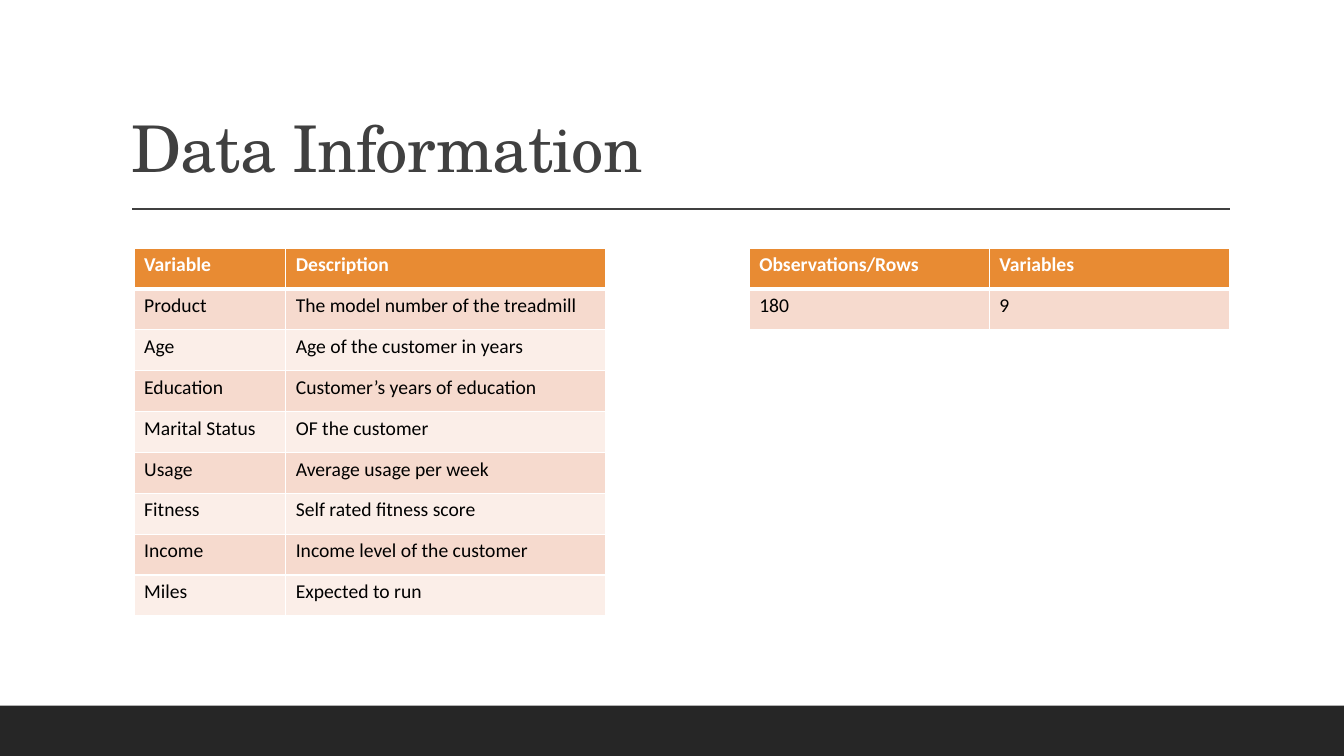
from dataclasses import dataclass

from lxml import etree
from pptx import Presentation
from pptx.dml.color import RGBColor
from pptx.enum.shapes import MSO_CONNECTOR, MSO_SHAPE
from pptx.enum.text import MSO_ANCHOR, MSO_AUTO_SIZE, PP_ALIGN
from pptx.oxml.ns import qn
from pptx.util import Cm, Pt

RECTANGLE = MSO_SHAPE.RECTANGLE
STRAIGHT = MSO_CONNECTOR.STRAIGHT
BOTTOM = MSO_ANCHOR.BOTTOM
NO_AUTOFIT = MSO_AUTO_SIZE.NONE
LEFT = PP_ALIGN.LEFT


@dataclass(frozen=True)
class Theme:
    title_font: str = "TeX Gyre Schola"
    body_font: str = "Calibri"
    title_size: int = 46
    body_size: int = 14
    dark: str = "404040"
    footer: str = "262626"
    header: str = "E88B33"
    bands: tuple = ("F6DACE", "FBEEE8")
    white: str = "FFFFFF"
    black: str = "000000"


theme = Theme()


def write(frame, text, *, font, size, color, bold=False, line_spacing=None):
    """Fill a text frame with one left-aligned, formatted paragraph."""
    para = frame.paragraphs[0]
    para.alignment = LEFT
    para.line_spacing = line_spacing
    span = para.add_run()
    span.text = text
    span.font.name = font
    span.font.size = Pt(size)
    span.font.bold = bold
    span.font.color.rgb = RGBColor.from_string(color)
    return span


def set_border(cell, edge, points, color):
    """Draw one edge of a table cell; call before the cell's fill is set."""
    properties = cell._tc.get_or_add_tcPr()
    line = etree.SubElement(properties, qn(f"a:{edge}"), w=str(Pt(points)))
    fill = etree.SubElement(line, qn("a:solidFill"))
    etree.SubElement(fill, qn("a:srgbClr"), val=color)


deck = Presentation()
deck.slide_width = Cm(33.87)
deck.slide_height = Cm(19.05)
page = deck.slides.add_slide(deck.slide_layouts[5])

# Footer band
band = page.shapes.add_shape(RECTANGLE, 0, Cm(17.78), deck.slide_width, Cm(1.27))
band.shadow.inherit = False
band.fill.solid()
band.fill.fore_color.rgb = RGBColor.from_string(theme.footer)
band.line.fill.background()

# Rule under the title
rule = page.shapes.add_connector(STRAIGHT, Cm(3.33), Cm(5.27), Cm(31), Cm(5.27))
rule.line.color.rgb = RGBColor.from_string(theme.dark)
rule.line.width = Pt(1)
etree.SubElement(rule._element.spPr, qn("a:effectLst"))

# Title
title = page.shapes.title
title.left, title.top, title.width, title.height = Cm(3.05), Cm(0.79), Cm(27.94), Cm(4.04)
title.text_frame.auto_size = NO_AUTOFIT
title.text_frame.vertical_anchor = BOTTOM
title_span = write(title.text_frame, "Data Information", font=theme.title_font,
                   size=theme.title_size, color=theme.dark, line_spacing=0.9)
title_span._r.get_or_add_rPr().set("spc", "-50")

# Tables: left edge, column widths, rows with the header first
variables = [
    ("Variable", "Description"),
    ("Product", "The model number of the treadmill"),
    ("Age", "Age of the customer in years"),
    ("Education", "Customer’s years of education"),
    ("Marital Status", "OF the customer"),
    ("Usage", "Average usage per week"),
    ("Fitness", "Self rated fitness score"),
    ("Income", "Income level of the customer"),
    ("Miles", "Expected to run"),
]
data_size = [("Observations/Rows", "Variables"), ("180", "9")]
tables = [
    (3.38, (3.82, 8.07), variables),
    (18.88, (6.05, 6.05), data_size),
]
row_height = 1.03

for left, widths, rows in tables:
    table = page.shapes.add_table(
        len(rows), len(widths), Cm(left), Cm(6.25),
        Cm(sum(widths)), Cm(row_height * len(rows))).table
    for column, width in zip(table.columns, widths):
        column.width = Cm(width)
    for row_index, texts in enumerate(rows):
        table.rows[row_index].height = Cm(row_height)
        is_header = row_index == 0
        fill_color = theme.header if is_header else theme.bands[(row_index - 1) % 2]
        edges = {"lnL": 1, "lnR": 1, "lnT": 3 if row_index == 1 else 1,
                 "lnB": 3 if is_header else 1}
        for column_index, text in enumerate(texts):
            cell = table.cell(row_index, column_index)
            for edge, points in edges.items():
                set_border(cell, edge, points, theme.white)
            cell.fill.solid()
            cell.fill.fore_color.rgb = RGBColor.from_string(fill_color)
            write(cell.text_frame, text, font=theme.body_font, size=theme.body_size,
                  color=theme.white if is_header else theme.black, bold=is_header)

deck.save("out.pptx")
